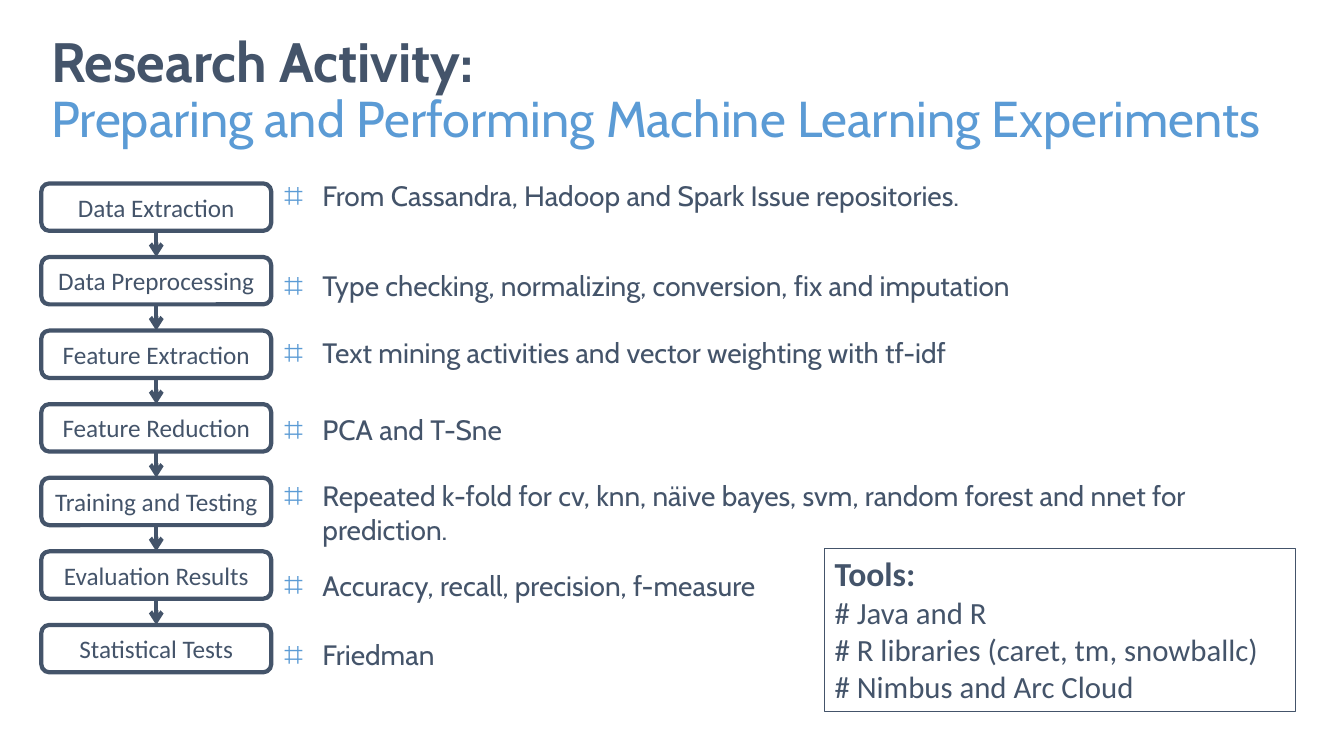
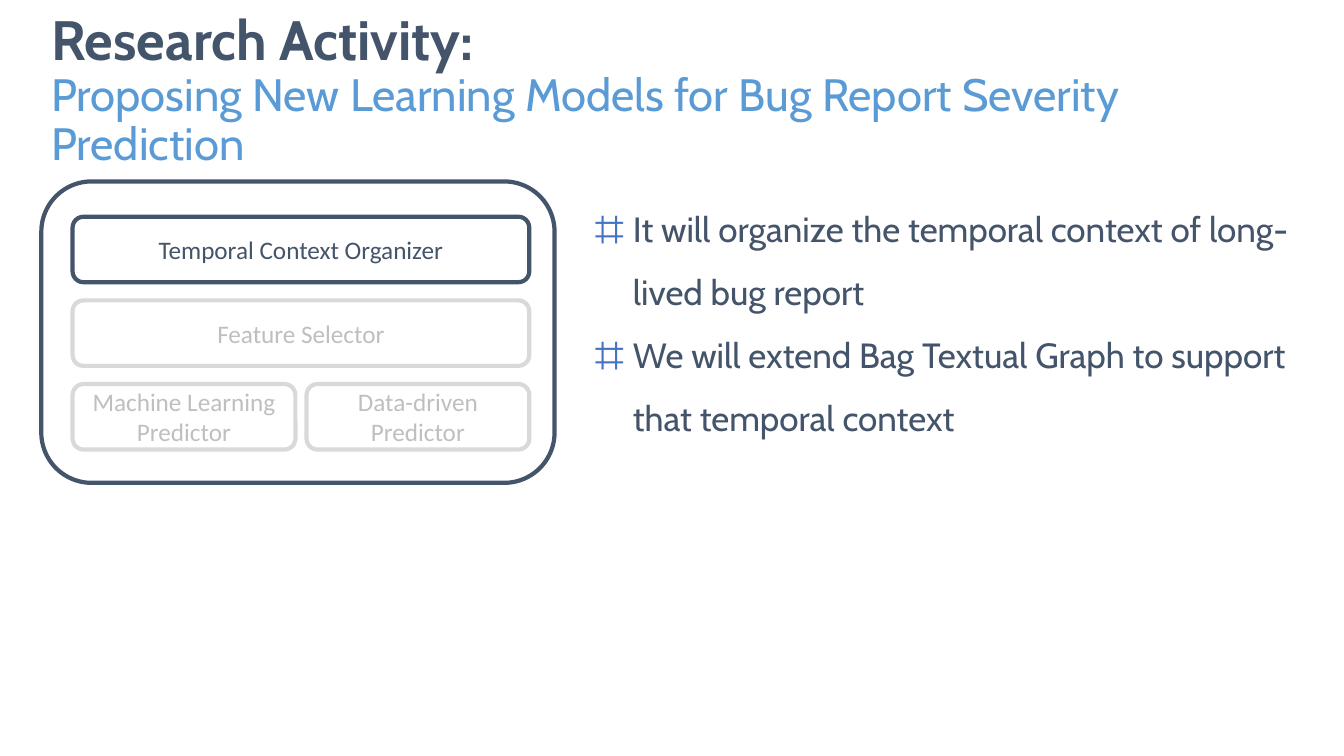
from lxml import etree
from pptx import Presentation
from pptx.dml.color import RGBColor
from pptx.enum.shapes import MSO_CONNECTOR, MSO_SHAPE
from pptx.enum.text import MSO_ANCHOR as ANCHOR, PP_ALIGN as ALIGN
from pptx.oxml.ns import qn
from pptx.util import Inches, Pt

COLORS = {"ink": "44546A", "sky": "5B9BD5", "blue": "4472C4",
          "pale": "D9D9D9", "muted": "BFBFBF", "white": "FFFFFF"}


def color(name):
    return RGBColor.from_string(COLORS[name])


class Deck:
    """Shared style, and the slide being built."""
    HEAD, BODY = "Cabin", "Calibri"
    LEFT = 0.41
    STROKE = 3

    def __init__(self):
        self.prs = Presentation()
        self.prs.slide_width = Inches(13.33)
        self.prs.slide_height = Inches(7.5)
        self.s = None

    def slide(self, subtitle, size):
        self.s = self.prs.slides.add_slide(self.prs.slide_layouts[6])
        tf = self.text_frame(self.LEFT, 0.4, 12.7, 1.02)
        tf.vertical_anchor = ANCHOR.MIDDLE
        p = tf.paragraphs[0]
        p.line_spacing = 0.9
        self.run(p, "Research Activity:", 39.6, self.HEAD, bold=True)
        p.add_line_break()
        self.run(p, subtitle, size, self.HEAD, "sky")

    def text_frame(self, x, y, w, h):
        sp = self.s.shapes.add_textbox(Inches(x), Inches(y), Inches(w), Inches(h))
        sp.text_frame.word_wrap = True
        return sp.text_frame

    def run(self, p, text, size, font, ink="ink", bold=False):
        r = p.add_run()
        r.text = text
        r.font.size, r.font.name, r.font.bold = Pt(size), font, bold
        r.font.color.rgb = color(ink)

    def paragraphs(self, tf, texts):
        """Yield a paragraph for each text, starting with the one already there."""
        for i, text in enumerate(texts):
            yield (tf.add_paragraph() if i else tf.paragraphs[0]), text

    def box(self, x, y, w, h, lines=(), line="ink", ink="ink"):
        sp = self.s.shapes.add_shape(MSO_SHAPE.ROUNDED_RECTANGLE,
                                     Inches(x), Inches(y), Inches(w), Inches(h))
        sp.shadow.inherit = False
        sp.fill.solid()
        sp.fill.fore_color.rgb = color("white")
        sp.line.color.rgb = color(line)
        sp.line.width = Pt(self.STROKE)
        for p, text in self.paragraphs(sp.text_frame, lines):
            p.alignment = ALIGN.CENTER
            self.run(p, text, 18, self.BODY, ink)
        return sp

    def arrow(self, upper, lower):
        c = self.s.shapes.add_connector(MSO_CONNECTOR.STRAIGHT, 0, 0, 0, 0)
        c.begin_connect(upper, 2)
        c.end_connect(lower, 0)
        c.line.color.rgb = color("ink")
        c.line.width = Pt(self.STROKE)
        etree.SubElement(c.line._get_or_add_ln(), qn("a:tailEnd"), type="arrow")
        etree.SubElement(c._element.spPr, qn("a:effectLst"))

    def bullets(self, x, y, w, h, texts, size=20, spacing=1.0, mark="sky", scale=120):
        tf = self.text_frame(x, y, w, h)
        for p, text in self.paragraphs(tf, texts):
            p.line_spacing = spacing
            pPr = p._p.get_or_add_pPr()
            pPr.set("marL", str(Inches(0.38)))
            pPr.set("indent", str(-Inches(0.38)))
            clr = etree.SubElement(pPr, qn("a:buClr"))
            etree.SubElement(clr, qn("a:srgbClr"), val=COLORS[mark])
            etree.SubElement(pPr, qn("a:buSzPct"), val=str(scale * 1000))
            # A text font here lets the mark fall back to a font that has it
            etree.SubElement(pPr, qn("a:buFont"), typeface=self.HEAD)
            etree.SubElement(pPr, qn("a:buChar"), char="⌗")
            self.run(p, text, size, self.HEAD)

    def panel(self, x, y, w, h, heading, lines):
        sp = self.s.shapes.add_shape(MSO_SHAPE.RECTANGLE,
                                     Inches(x), Inches(y), Inches(w), Inches(h))
        sp.shadow.inherit = False
        sp.fill.background()
        sp.line.color.rgb = color("ink")
        sp.line.width = Pt(0.75)
        tf = sp.text_frame
        tf.vertical_anchor = ANCHOR.TOP
        for p, text in self.paragraphs(tf, [heading, *lines]):
            p.alignment = ALIGN.LEFT
            first = text == heading
            self.run(p, text, 24 if first else 22, self.BODY, bold=first)


def experiments(deck):
    deck.slide("Preparing and Performing Machine Learning Experiments", 36)

    # Steps: label, note, top of the note, line spacing of the note
    steps = [
        ("Data Extraction", "From Cassandra, Hadoop and Spark Issue repositories.", 1.72, 1.0),
        ("Data Preprocessing",
         "Type checking, normalizing, conversion, fix and imputation", 2.45, 1.5),
        ("Feature Extraction",
         "Text mining activities and vector weighting with tf-idf", 3.28, 1.0),
        ("Feature Reduction", "PCA and T-Sne", 3.88, 1.5),
        ("Training and Testing", "Repeated k-fold for cv, knn, näive bayes, svm, "
         "random forest and nnet for prediction.", 4.7, 1.0),
        ("Evaluation Results", "Accuracy, recall, precision, f-measure", 5.42, 1.5),
        ("Statistical Tests", "Friedman", 6.11, 1.5),
    ]
    previous = None
    for i, (label, note, top, spacing) in enumerate(steps):
        step = deck.box(deck.LEFT, 1.82 + i * 0.73, 2.28, 0.47, [label])
        if previous is not None:
            deck.arrow(previous, step)
        previous = step
        deck.bullets(2.72, top, 9.94, 0.54, [note], spacing=spacing)

    # Tools
    deck.panel(8.18, 5.44, 4.67, 1.62, "Tools:",
               ["# Java and R", "# R libraries (caret, tm, snowballc)",
                "# Nimbus and Arc Cloud"])


def models(deck):
    deck.slide("Proposing New Learning Models for Bug Report Severity Prediction", 32.4)

    # Architecture, with the current part in full colour
    x, y, w, h, pitch, gap = 0.72, 2.15, 4.53, 0.65, 0.83, 0.11
    half = (w - gap) / 2
    faded = {"line": "pale", "ink": "muted"}
    deck.box(deck.LEFT, 1.8, 5.09, 2.99)
    deck.box(x, y, w, h, ["Temporal Context Organizer"])
    deck.box(x, y + pitch, w, h, ["Feature Selector"], **faded)
    for i, kind in enumerate(["Machine Learning", "Data-driven"]):
        deck.box(x + i * (half + gap), y + 2 * pitch, half, h, [kind, "Predictor"], **faded)

    # Explanation
    deck.bullets(5.8, 1.8, 7.53, 2.54,
                 ["It will organize the temporal context of long-lived bug report",
                  "We will extend Bag Textual Graph to support that temporal context"],
                 size=25, spacing=1.5, mark="blue", scale=150)


def main():
    deck = Deck()
    experiments(deck)
    models(deck)
    deck.prs.save("out.pptx")


if __name__ == "__main__":
    main()
